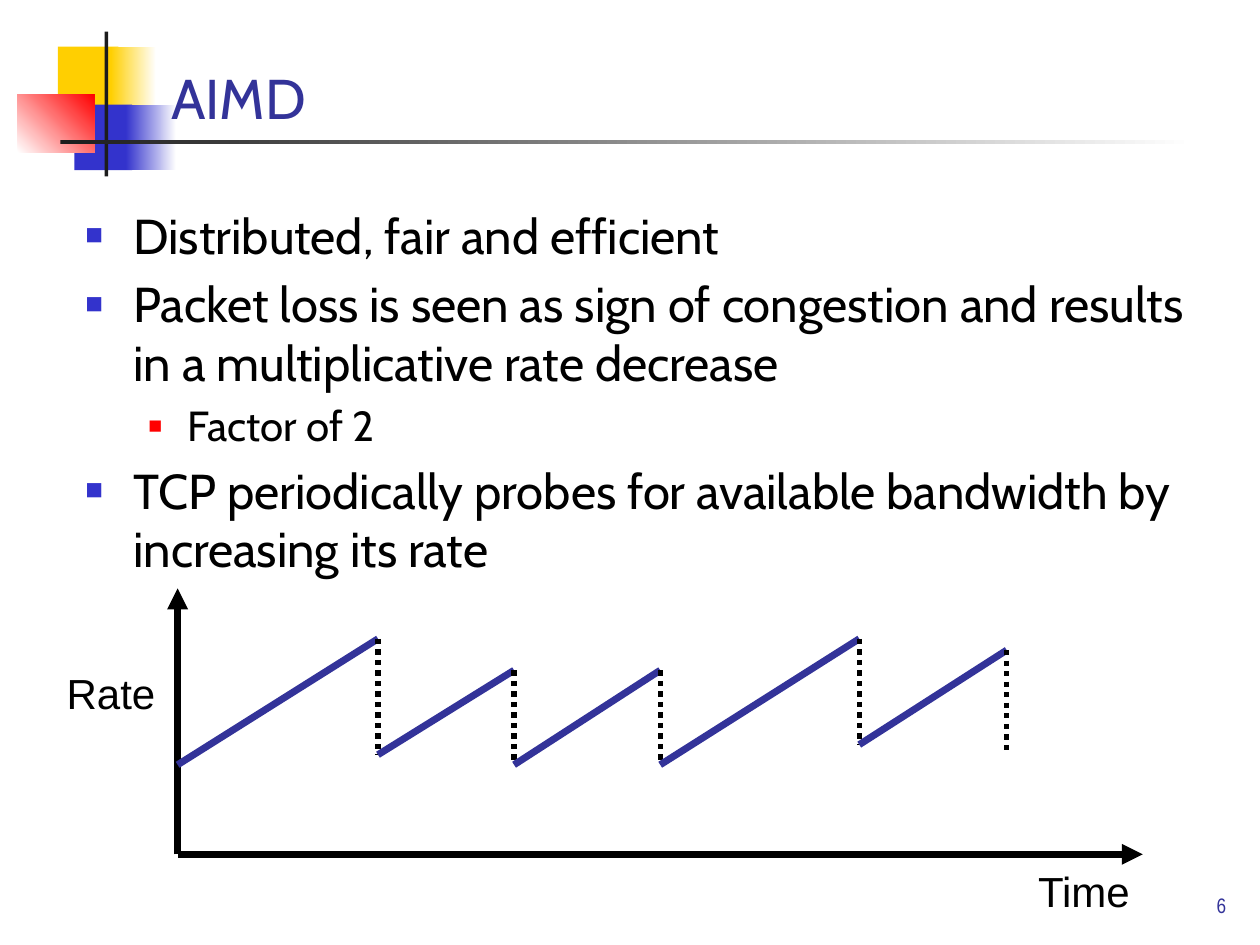
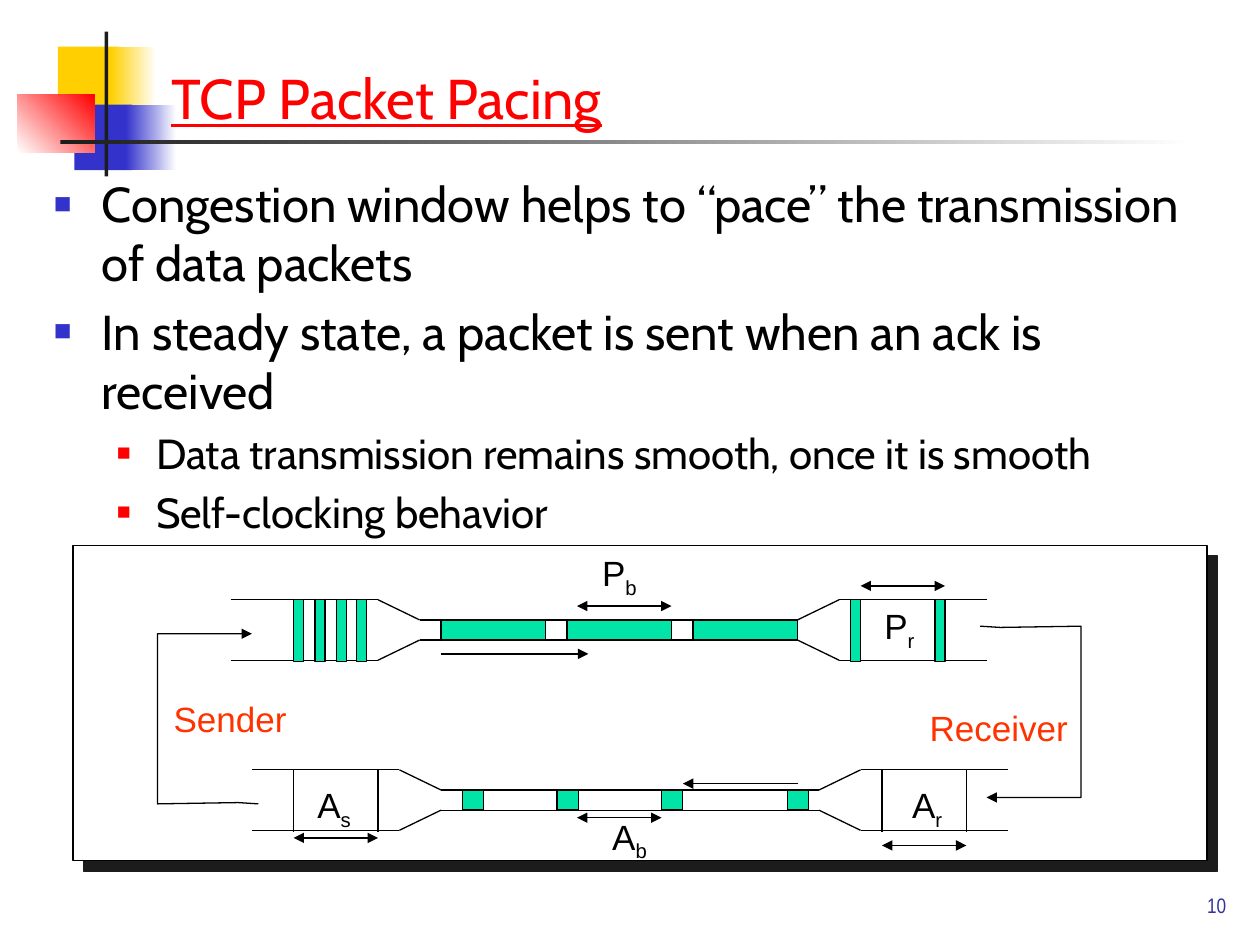
from dataclasses import dataclass
from itertools import pairwise
from typing import NamedTuple

from lxml.etree import SubElement
from pptx import Presentation
from pptx.dml.color import RGBColor as RGB
from pptx.enum.dml import MSO_LINE_DASH_STYLE as Dash
from pptx.enum.shapes import MSO_CONNECTOR as Link, MSO_SHAPE as Shape
from pptx.enum.text import MSO_ANCHOR as Anchor, MSO_AUTO_SIZE as Fit, PP_ALIGN as Align
from pptx.oxml.ns import qn
from pptx.util import Inches, Pt

HUES = {
    "black": "000000", "white": "FFFFFF", "ink": "1C1C1C", "navy": "333399",
    "blue": "3333CC", "gold": "FFCF01", "red": "FF0000", "mint": "00E4A8",
    "orange": "FF3300",
}


class Spot(NamedTuple):
    """A point in inches."""
    x: float
    y: float


@dataclass(frozen=True)
class Box:
    """A filled rectangle that may fade into a second hue."""
    x: float
    y: float
    w: float
    h: float
    fill: str
    fade: str = ""
    turn: int = 0
    edge: str = ""


@dataclass(frozen=True)
class Label:
    """A short text with an optional subscript."""
    x: float
    y: float
    w: float
    text: str
    sub: str = ""
    size: int = 20
    hue: str = "black"


@dataclass(frozen=True)
class Level:
    """The look of one bullet depth."""
    size: int
    left: float
    hang: float
    hue: str
    scale: int


LEVELS = (Level(28, 0.38, 0.38, "blue", 60), Level(24, 0.81, 0.31, "red", 55))

BANDS = (
    Box(0.46, 0.37, 0.48, 0.52, "gold"),
    Box(0.88, 0.37, 0.36, 0.52, "gold", "white"),
    Box(0.59, 0.83, 0.46, 0.52, "blue"),
    Box(1, 0.83, 0.4, 0.52, "blue", "white"),
    Box(0.14, 0.75, 0.61, 0.46, "white", "red", 45),
    Box(0.83, 0.25, 0.03, 1.15, "ink"),
    Box(0.48, 1.11, 9, 0.03, "ink", "white"),
)


def tint(name: str) -> RGB:
    """Look up a hue."""
    return RGB.from_string(HUES[name])


def add_run(para, text: str, size: int, face: str = "Arial", hue: str = "black"):
    """Append one formatted run."""
    run = para.add_run()
    run.text = text
    run.font.size, run.font.name = Pt(size), face
    run.font.color.rgb = tint(hue)
    return run


def add_box(slide, box: Box):
    """Draw a rectangle."""
    shape = slide.shapes.add_shape(
        Shape.RECTANGLE, *map(Inches, (box.x, box.y, box.w, box.h)))
    shape.shadow.inherit = False
    if box.fade:
        shape.fill.gradient()
        shape.fill.gradient_angle = box.turn
        for stop, name in zip(shape.fill.gradient_stops, (box.fill, box.fade)):
            stop.color.rgb = tint(name)
    else:
        shape.fill.solid()
        shape.fill.fore_color.rgb = tint(box.fill)
    if box.edge:
        shape.line.color.rgb = tint(box.edge)
        shape.line.width = Pt(0.75)
    else:
        shape.line.fill.background()
    return shape


def add_text(slide, x: float, y: float, w: float, h: float, wrap: bool = True):
    """Place an empty text box and return its frame."""
    frame = slide.shapes.add_textbox(*map(Inches, (x, y, w, h))).text_frame
    frame.word_wrap = wrap
    return frame


def add_label(slide, label: Label) -> None:
    """Write a label with its subscript."""
    high = 0.5 if label.size > 20 else 0.43
    frame = add_text(slide, label.x, label.y, label.w, high, False)
    frame.auto_size = Fit.SHAPE_TO_FIT_TEXT
    para = frame.paragraphs[0]
    add_run(para, label.text, label.size, hue=label.hue)
    if label.sub:
        run = add_run(para, label.sub, label.size, hue=label.hue)
        run._r.get_or_add_rPr().set("baseline", "-25000")


def add_tips(shape, tips: str) -> None:
    """Put arrowheads on the named ends."""
    for end in tips.split():
        SubElement(shape.line._get_or_add_ln(), qn(f"a:{end}End"), type="triangle")


def add_line(slide, start: Spot, end: Spot, hue: str = "black",
             width: float = 0.75, tips: str = "", dots: bool = False) -> None:
    """Draw a straight line."""
    line = slide.shapes.add_connector(
        Link.STRAIGHT, *map(Inches, (*start, *end)))
    line.line.color.rgb, line.line.width = tint(hue), Pt(width)
    if dots:
        line.line.dash_style = Dash.ROUND_DOT
    add_tips(line, tips)
    SubElement(line._element.spPr, qn("a:effectLst"))


def add_loop(slide, spots: list[Spot]) -> None:
    """Draw a bent arrow through the spots."""
    first, *rest = [tuple(map(Inches, spot)) for spot in spots]
    pen = slide.shapes.build_freeform(*first)
    pen.add_line_segments(rest, close=False)
    loop = pen.convert_to_shape()
    loop.shadow.inherit = False
    loop.fill.background()
    loop.line.color.rgb, loop.line.width = tint("black"), Pt(0.75)
    add_tips(loop, "tail")


def add_list(slide, area: tuple, items: list[tuple[int, str]]) -> None:
    """Write the bulleted text."""
    frame = add_text(slide, *area)
    for rank, (depth, text) in enumerate(items):
        para = frame.add_paragraph() if rank else frame.paragraphs[0]
        level = LEVELS[depth]
        para.level = depth
        para.space_before = Pt(level.size * 0.2)
        props = para._p.get_or_add_pPr()
        props.set("marL", str(Inches(level.left)))
        props.set("indent", str(-Inches(level.hang)))
        color = SubElement(props, qn("a:buClr"))
        SubElement(color, qn("a:srgbClr"), val=HUES[level.hue])
        SubElement(props, qn("a:buSzPct"), val=str(level.scale * 1000))
        SubElement(props, qn("a:buFont"), typeface="Arial")
        SubElement(props, qn("a:buChar"), char="■")
        add_run(para, text, level.size, "Cabin")


def add_slide(deck, title: str, page: int, hue: str = "navy", under: bool = False):
    """Start a slide with bands, title and page number."""
    slide = deck.slides.add_slide(deck.slide_layouts[5])
    for band in BANDS:
        add_box(slide, band)
    head = slide.shapes.title
    head.element.getparent().append(head.element)
    head.left, head.top, head.width, head.height = map(Inches, (1.26, 0.32, 8.52, 0.77))
    frame = head.text_frame
    frame.vertical_anchor, frame.auto_size = Anchor.BOTTOM, Fit.NONE
    frame.word_wrap = True
    para = frame.paragraphs[0]
    para.alignment = Align.LEFT
    add_run(para, title, 32, "Cabin", hue).font.underline = under
    foot = add_text(slide, 7.75, 6.83, 2.08, 0.5)
    foot.vertical_anchor = Anchor.BOTTOM
    foot.paragraphs[0].alignment = Align.RIGHT
    add_run(foot.paragraphs[0], str(page), 12, "Arial Narrow", "navy")
    return slide


def draw_rate(deck) -> None:
    """Build the sawtooth slide."""
    slide = add_slide(deck, "AIMD", 6)
    add_list(slide, (0.58, 1.58, 9.08, 4.5), [
        (0, "Distributed, fair and efficient"),
        (0, "Packet loss is seen as sign of congestion and results in a "
            "multiplicative rate decrease"),
        (1, "Factor of 2"),
        (0, "TCP periodically probes for available bandwidth by increasing its rate"),
    ])
    zero = Spot(1.41, 6.78)
    add_line(slide, zero, Spot(1.41, 4.67), width=4, tips="tail")
    add_line(slide, zero, Spot(9.07, 6.78), width=4, tips="tail")
    teeth = [(1.41, 6.07), (3, 5.07), (3, 5.99), (4.08, 5.32), (4.08, 6.07),
             (5.24, 5.32), (5.24, 6.07), (6.82, 5.07), (6.82, 5.91),
             (7.99, 5.16), (7.99, 5.99)]
    for start, end in pairwise(Spot(*tooth) for tooth in teeth):
        if start.x == end.x:
            add_line(slide, start, end, width=3, dots=True)
        else:
            add_line(slide, start, end, "navy", 4)
    add_label(slide, Label(8.14, 6.82, 0.94, "Time", size=24))
    add_label(slide, Label(0.43, 5.25, 0.91, "Rate", size=24))


def add_pipe(slide, x: float, y: float) -> None:
    """Draw both walls of a pipe with a narrow middle."""
    wall = [(0, 0), (1.17, 0), (1.5, 0.16), (4.5, 0.16), (4.83, 0), (6, 0)]
    for base, sign in ((y, 1), (y + 0.48, -1)):
        spots = [Spot(x + dx, base + sign * dy) for dx, dy in wall]
        for start, end in pairwise(spots):
            add_line(slide, start, end)


def draw_pace(deck) -> None:
    """Build the packet pacing slide."""
    slide = add_slide(deck, "TCP Packet Pacing", 10, "red", True)
    add_list(slide, (0.33, 1.33, 9.15, 3.01), [
        (0, "Congestion window helps to “pace” the transmission of data packets"),
        (0, "In steady state, a packet is sent when an ack is received"),
        (1, "Data transmission remains smooth, once it is smooth"),
        (1, "Self-clocking behavior"),
    ])
    panel = add_box(slide, Box(0.58, 4.33, 9, 2.5, "white", edge="black"))
    glow = SubElement(panel._element.spPr.find(qn("a:effectLst")), qn("a:outerShdw"),
                      dist=str(Pt(8.5)), dir="2700000", algn="ctr", rotWithShape="0")
    SubElement(glow, qn("a:srgbClr"), val=HUES["ink"])

    data, ack = 4.76, 6.11
    add_pipe(slide, 1.83, data)
    add_pipe(slide, 2, ack)
    groups = [
        ((2.33, 2.5, 2.67, 2.83, 6.75, 7.42), data, 0.08, 0.49),
        ((3.5, 4.5, 5.5), data + 0.16, 0.83, 0.16),
        ((3.67, 4.42, 5.25, 6.25), ack + 0.16, 0.17, 0.16),
    ]
    for lefts, top, wide, high in groups:
        for left in lefts:
            add_box(slide, Box(left, top, wide, high, "mint", edge="black"))
    for x in (2.33, 3, 7, 7.67):
        add_line(slide, Spot(x, ack), Spot(x, ack + 0.49))

    spans = [(6.83, 7.5, 4.65), (4.58, 5.33, 4.81), (7, 7.67, 6.71),
             (4.58, 5.25, 6.49), (2.33, 3, 6.65)]
    for left, right, y in spans:
        add_line(slide, Spot(left, y), Spot(right, y), tips="head tail")
    for start, end, y in ((3.5, 4.67, 5.19), (6.33, 5.42, 6.22)):
        add_line(slide, Spot(start, y), Spot(end, y), tips="tail")
    add_loop(slide, [Spot(7.78, 4.97), Spot(7.94, 4.98), Spot(8.58, 4.97),
                     Spot(8.58, 6.33), Spot(7.83, 6.33)])
    add_loop(slide, [Spot(2.05, 6.38), Spot(1.89, 6.37), Spot(1.25, 6.38),
                     Spot(1.25, 5.03), Spot(2, 5.03)])
    labels = [
        Label(6.92, 4.75, 0.45, "P", "r"),
        Label(4.68, 4.33, 0.49, "P", "b"),
        Label(7.14, 6.17, 0.45, "A", "r"),
        Label(4.76, 6.42, 0.49, "A", "b"),
        Label(2.42, 6.17, 0.48, "A", "s"),
        Label(7.28, 5.56, 1.3, "Receiver", hue="orange"),
        Label(1.28, 5.49, 1.1, "Sender", hue="orange"),
    ]
    for label in labels:
        add_label(slide, label)


def main() -> None:
    """Build and save the deck."""
    deck = Presentation()
    deck.slide_width, deck.slide_height = Inches(10), Inches(7.5)
    draw_rate(deck)
    draw_pace(deck)
    deck.save("out.pptx")


if __name__ == "__main__":
    main()
